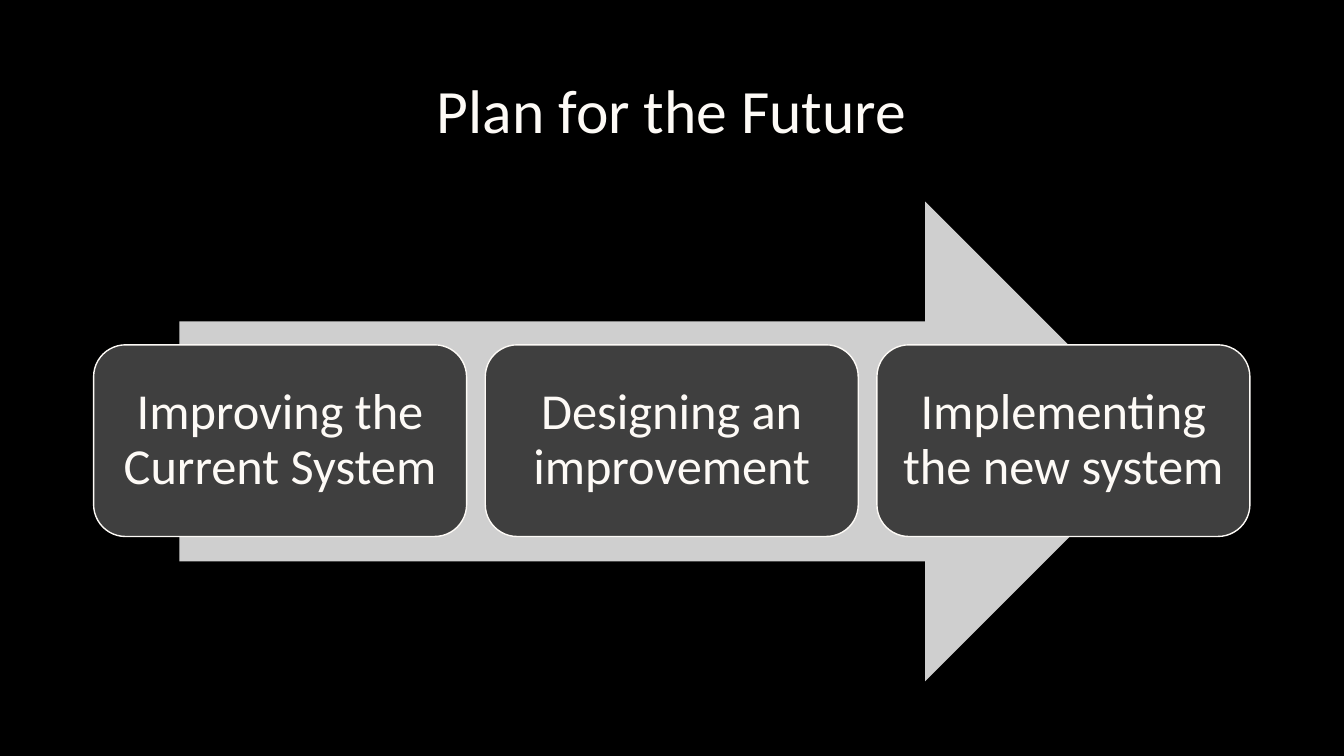
from dataclasses import dataclass

from pptx import Presentation
from pptx.dml.color import RGBColor
from pptx.enum.shapes import MSO_SHAPE as Preset
from pptx.enum.text import MSO_ANCHOR as Anchor, PP_ALIGN as Align
from pptx.shapes.autoshape import Shape
from pptx.slide import Slide
from pptx.util import Cm, Pt

BLACK, CREAM, CHARCOAL, SILVER = "000000", "FDFAF6", "3F3F3F", "CFCFCF"
FONT = "Calibri"
STEP_LEFT, STEP_TOP, STEP_WIDTH, STEP_HEIGHT = 2.36, 8.69, 9.4, 4.83
STEP_PITCH = 9.87


@dataclass(frozen=True)
class Step:
    index: int
    label: str

    @property
    def left(self) -> float:
        return STEP_LEFT + self.index * STEP_PITCH


LABELS = (
    "Improving the Current System",
    "Designing an improvement",
    "Implementing the new system",
)
STEPS = [Step(index, label) for index, label in enumerate(LABELS)]


def color(value: str) -> RGBColor:
    return RGBColor.from_string(value)


def write(box: Shape, text: str, size: float, inset: float) -> None:
    frame = box.text_frame
    frame.word_wrap = True
    frame.vertical_anchor = Anchor.MIDDLE
    frame.margin_left = frame.margin_right = Cm(inset)
    frame.margin_top = frame.margin_bottom = Cm(inset)
    para = frame.paragraphs[0]
    para.alignment = Align.CENTER
    para.line_spacing = 0.9
    span = para.add_run()
    span.text = text
    span.font.name = FONT
    span.font.size = Pt(size)
    span.font.color.rgb = color(CREAM)


def add_block(page: Slide, preset: Preset, left: float, top: float,
              width: float, height: float, fill: str) -> Shape:
    block = page.shapes.add_shape(preset, Cm(left), Cm(top), Cm(width), Cm(height))
    block.shadow.inherit = False
    block.fill.solid()
    block.fill.fore_color.rgb = color(fill)
    block.line.fill.background()
    return block


def add_step(page: Slide, step: Step) -> None:
    block = add_block(page, Preset.ROUNDED_RECTANGLE, step.left, STEP_TOP,
                      STEP_WIDTH, STEP_HEIGHT, CHARCOAL)
    block.line.color.rgb = color(CREAM)
    block.line.width = Pt(1)
    write(block, step.label, 36, 0.38)


def main() -> None:
    deck = Presentation()
    deck.slide_width, deck.slide_height = Cm(33.87), Cm(19.05)
    page = deck.slides.add_slide(deck.slide_layouts[6])
    page.background.fill.solid()
    page.background.fill.fore_color.rgb = color(BLACK)

    title = page.shapes.add_textbox(Cm(2.33), Cm(1.02), Cm(29.21), Cm(3.68))
    write(title, "Plan for the Future", 44, 0.2)

    add_block(page, Preset.RIGHT_ARROW, 4.52, 5.08, 24.84, 12.09, SILVER)
    for step in STEPS:
        add_step(page, step)

    deck.save("out.pptx")


if __name__ == "__main__":
    main()
